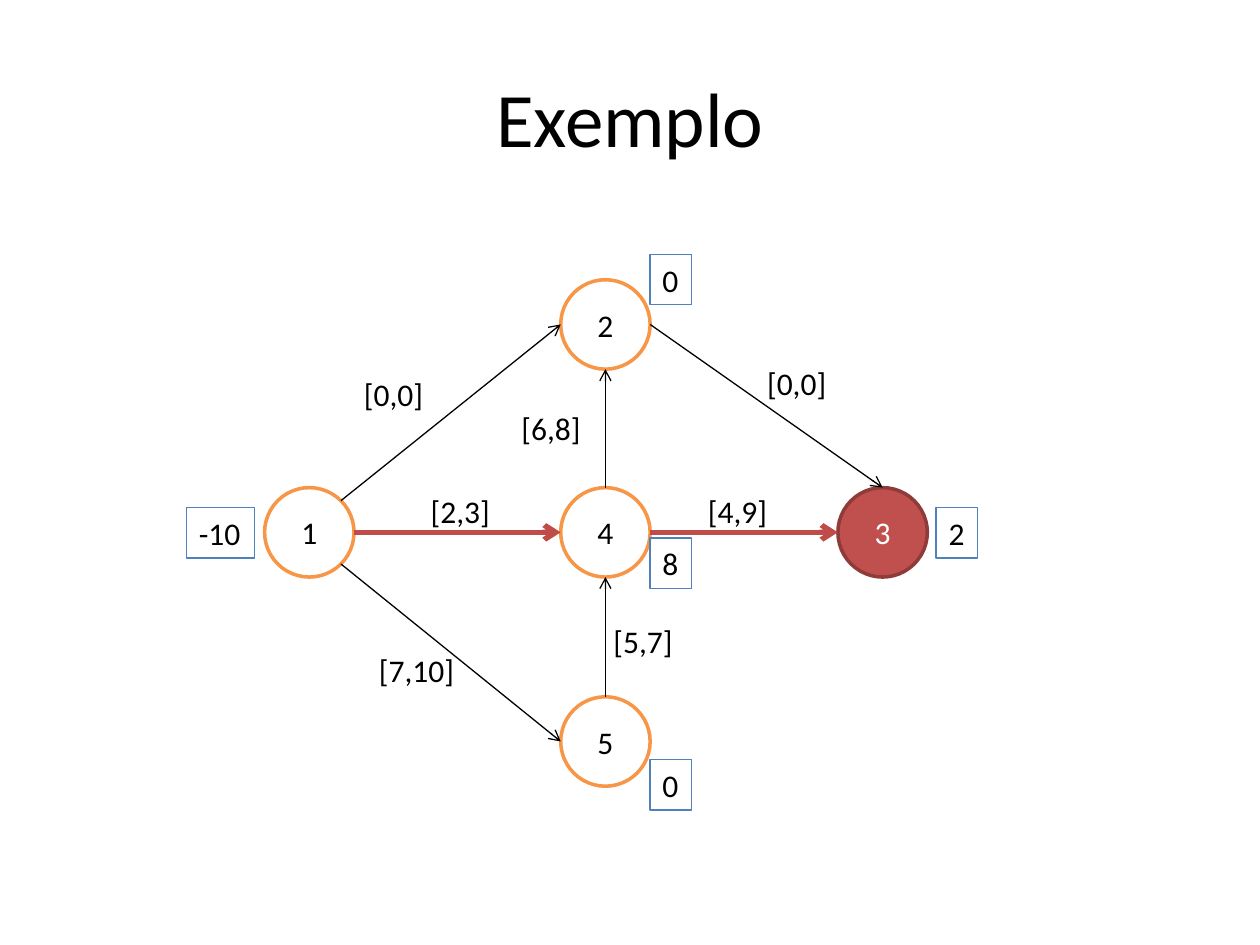
from math import cos, radians, sin

from lxml import etree
from pptx import Presentation
from pptx import util as u
from pptx.dml.color import RGBColor
from pptx.enum import shapes, text
from pptx.oxml import ns

SCALE = 9144
NODE = 71
BLACK = RGBColor(0x00, 0x00, 0x00)
WHITE = RGBColor(0xFF, 0xFF, 0xFF)
ORANGE = RGBColor(0xF7, 0x96, 0x46)
BLUE = RGBColor(0x4F, 0x81, 0xBD)
RED = RGBColor(0xC0, 0x50, 0x4D)
DARK_RED = RGBColor(0x8E, 0x3B, 0x39)
PATH_RED = RGBColor(0xBF, 0x4C, 0x48)

TOP, LEFT, BOTTOM_LEFT, BOTTOM, RIGHT, TOP_RIGHT = 0, 2, 3, 4, 6, 7
BOTTOM_RIGHT = 5

NODES = {"1": (62, 185), "2": (297, 20), "4": (297, 185), "5": (297, 351), "3": (517, 185)}
EDGES = [
    ("1", TOP_RIGHT, "2", LEFT),
    ("2", RIGHT, "3", TOP),
    ("4", TOP, "2", BOTTOM),
    ("1", BOTTOM_RIGHT, "5", LEFT),
    ("5", TOP, "4", BOTTOM),
]
PATH = [("1", RIGHT, "4", LEFT), ("4", RIGHT, "3", LEFT)]
COSTS = [
    ("[0,0]", 131, 91, 68),
    ("[2,3]", 184, 184, 68),
    ("[7,10]", 143, 310, 80),
    ("[5,7]", 329, 287, 68),
    ("[6,8]", 256, 118, 68),
    ("[0,0]", 451, 82, 68),
    ("[4,9]", 404, 184, 68),
]
SUPPLIES = [
    ("-10", 0, 201, 54),
    ("2", 595, 201, 33),
    ("8", 368, 225, 33),
    ("0", 368, 0, 33),
    ("0", 368, 401, 33),
]


def px(*lengths):
    """Turn px lengths into EMU."""
    return [u.Emu(round(n * SCALE)) for n in lengths]


def write(sp, words, size=18, color=BLACK, align=None, anchor=None, wrap=True):
    """Put one formatted paragraph into a shape."""
    tf = sp.text_frame
    tf.word_wrap = wrap
    if anchor is not None:
        tf.vertical_anchor = anchor
    p = tf.paragraphs[0]
    p.alignment = align
    r = p.add_run()
    r.text = words
    r.font.name, r.font.size = "Calibri", u.Pt(size)
    r.font.color.rgb = color


def add_title(s, x, y, w, h):
    """Place the slide title in its box."""
    sp = s.shapes.title
    sp.left, sp.top, sp.width, sp.height = px(x, y, w, h)
    write(sp, "Exemplo", size=44, align=text.PP_ALIGN.CENTER, anchor=text.MSO_ANCHOR.MIDDLE)


def add_node(s, name, x, y, fill=WHITE, line=ORANGE, color=BLACK):
    """Draw a numbered circle."""
    sp = s.shapes.add_shape(shapes.MSO_SHAPE.OVAL, *px(x, y, NODE, NODE))
    sp.name = f"Node {name}"
    sp.shadow.inherit = False
    sp.fill.solid()
    sp.fill.fore_color.rgb = fill
    sp.line.color.rgb, sp.line.width = line, u.Pt(2)
    write(sp, name, color=color, align=text.PP_ALIGN.CENTER, anchor=text.MSO_ANCHOR.MIDDLE)
    return sp


def site_point(sp, site):
    """Find a connection site, counted counterclockwise from the top."""
    angle, radius = radians(45 * site), sp.width / 2
    return (
        u.Emu(round(sp.left + radius - radius * sin(angle))),
        u.Emu(round(sp.top + radius - radius * cos(angle))),
    )


def add_edge(s, start, start_site, end, end_site, color=BLACK, width=0.75):
    """Join two circles with a glued arrow."""
    points = site_point(start, start_site) + site_point(end, end_site)
    c = s.shapes.add_connector(shapes.MSO_CONNECTOR.STRAIGHT, *points)
    c.line.color.rgb, c.line.width = color, u.Pt(width)
    etree.SubElement(c.line._get_or_add_ln(), ns.qn("a:tailEnd"), type="arrow")
    etree.SubElement(c._element.spPr, ns.qn("a:effectLst"))
    glue = c._element.xpath(".//p:cNvCxnSpPr")[0]
    for tag, sp, site in (("a:stCxn", start, start_site), ("a:endCxn", end, end_site)):
        etree.SubElement(glue, ns.qn(tag), id=str(sp.shape_id), idx=str(site))


def add_label(s, words, x, y, w, line=None):
    """Add a text label, framed when a line colour is given."""
    sp = s.shapes.add_textbox(*px(x, y, w, 40))
    write(sp, words, wrap=False)
    sp.text_frame.auto_size = text.MSO_AUTO_SIZE.SHAPE_TO_FIT_TEXT
    if line is not None:
        sp.line.color.rgb, sp.line.width = line, u.Pt(0.75)


def add_network(s, x, y):
    """Draw the flow network from its top left corner."""
    target = dict(fill=RED, line=DARK_RED, color=WHITE)
    nodes = {
        name: add_node(s, name, x + dx, y + dy, **(target if name == "3" else {}))
        for name, (dx, dy) in NODES.items()
    }
    for a, a_site, b, b_site in EDGES:
        add_edge(s, nodes[a], a_site, nodes[b], b_site)
    for labels, line in ((COSTS, None), (SUPPLIES, BLUE)):
        for words, dx, dy, w in labels:
            add_label(s, words, x + dx, y + dy, w, line)
    for a, a_site, b, b_site in PATH:
        add_edge(s, nodes[a], a_site, nodes[b], b_site, color=PATH_RED, width=3)


def main():
    """Build and save the slide."""
    prs = Presentation()
    prs.slide_width, prs.slide_height = px(1000, 750)
    s = prs.slides.add_slide(prs.slide_layouts[5])
    add_title(s, 50, 30, 900, 125)
    add_network(s, 148, 202)
    prs.save("out.pptx")


if __name__ == "__main__":
    main()
